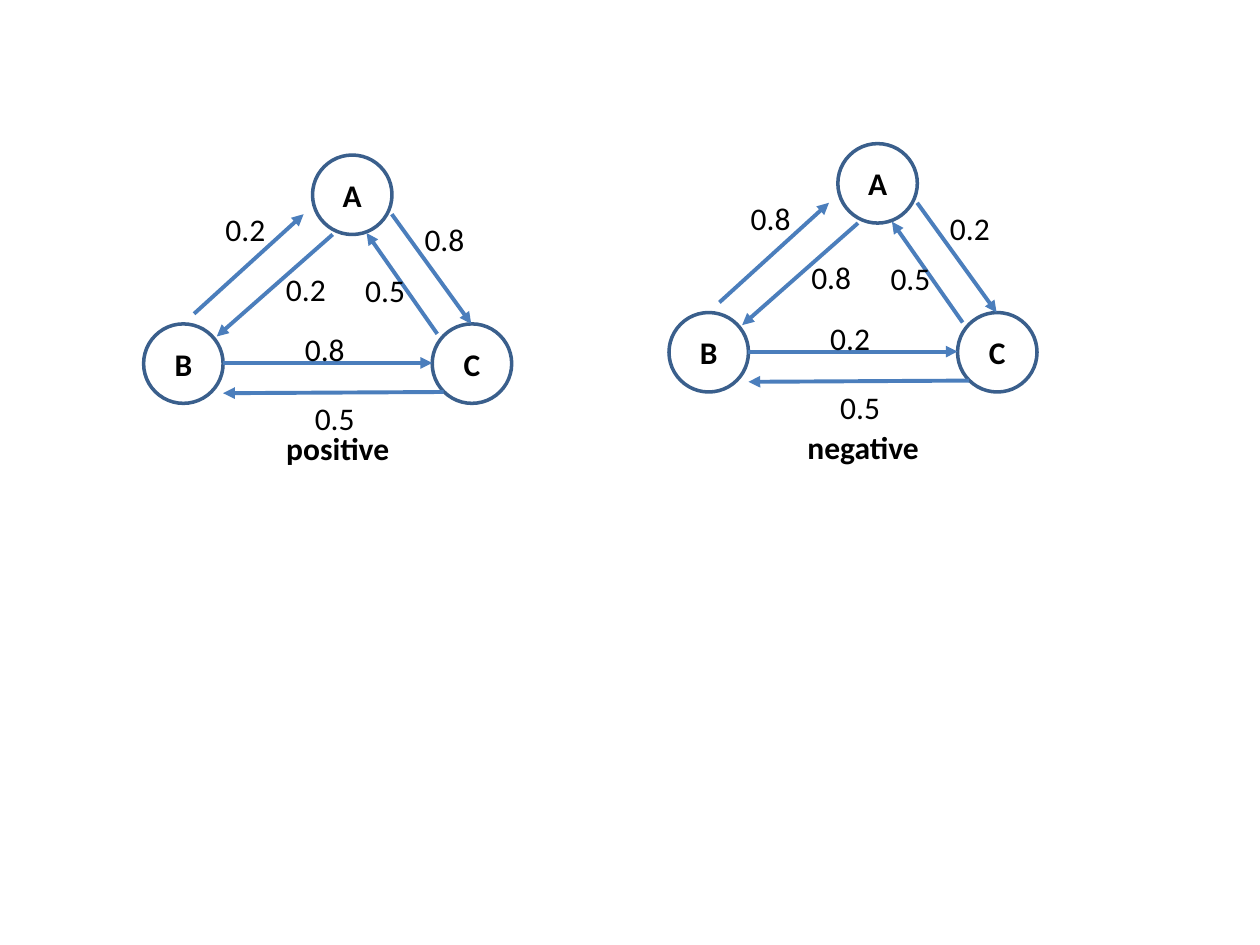
from dataclasses import dataclass

from lxml.etree import SubElement
from pptx import Presentation
from pptx.dml.color import RGBColor
from pptx.enum.shapes import MSO_CONNECTOR, MSO_SHAPE
from pptx.enum.text import MSO_ANCHOR, MSO_AUTO_SIZE, PP_ALIGN
from pptx.oxml.ns import qn
from pptx.shapes.group import GroupShape
from pptx.shapes.shapetree import SlideShapes
from pptx.text.text import TextFrame
from pptx.util import Pt


@dataclass(frozen=True)
class Theme:
    """Colours, font and sizes of the slide."""
    ink: RGBColor = RGBColor(0, 0, 0)
    ring: RGBColor = RGBColor(0x3A, 0x5F, 0x8C)
    arrow: RGBColor = RGBColor(0x4B, 0x7E, 0xBC)
    font: str = "Calibri"
    size: float = 18
    ring_width: float = 2
    arrow_width: float = 2.25


@dataclass(frozen=True)
class Node:
    """A named state, placed from the corner of its graph."""
    name: str
    x: float
    y: float


@dataclass(frozen=True)
class Edge:
    """An arrow and the corner of its weight label."""
    name: str
    start: tuple[float, float]
    end: tuple[float, float]
    label: tuple[float, float]


@dataclass(frozen=True)
class Graph:
    """One graph with its corner, caption and edge weights."""
    title: str
    x: float
    y: float
    title_x: float
    title_y: float
    weights: dict[str, str]


THEME = Theme()
NODE_SIZE = 45.4
LABEL_SIZE = (39.6, 28.8)
TITLE_SIZE = (164.2, 28.8)

NODES = [Node("A", 96.5, 0), Node("B", 0, 96.5), Node("C", 164.9, 96.5)]
EDGES = [
    Edge("AC", (141.8, 33.8), (187.2, 96.5), (153.4, 33.8)),
    Edge("CA", (167.8, 102.2), (127.4, 44.6), (119.5, 62.6)),
    Edge("AB", (108, 45.4), (41.8, 103.7), (74.2, 61.9)),
    Edge("BA", (28.8, 90.7), (91.4, 33.8), (39.6, 28.1)),
    Edge("CB", (171.4, 135.4), (45.4, 136.1), (90.7, 136.1)),
    Edge("BC", (45.4, 118.8), (164.9, 118.8), (85, 96.5)),
]
GRAPHS = [
    Graph("positive", 82.1, 88.6, 110.9, 241.9,
          {"AC": "0.8", "CA": "0.5", "AB": "0.2",
           "BA": "0.2", "CB": "0.5", "BC": "0.8"}),
    Graph("negative", 382.3, 82.1, 411.1, 241.2,
          {"AC": "0.2", "CA": "0.5", "AB": "0.8",
           "BA": "0.8", "CB": "0.5", "BC": "0.2"}),
]


def write(frame: TextFrame, text: str, *, bold: bool = False,
          align: PP_ALIGN = PP_ALIGN.LEFT,
          anchor: MSO_ANCHOR = MSO_ANCHOR.TOP) -> None:
    """Put formatted text in a frame."""
    frame.word_wrap = True
    frame.vertical_anchor = anchor
    par = frame.paragraphs[0]
    par.alignment = align
    run = par.add_run()
    run.text = text
    run.font.name = THEME.font
    run.font.size = Pt(THEME.size)
    run.font.bold = bold
    run.font.color.rgb = THEME.ink


def add_text(group: GroupShape | SlideShapes, text: str, x: float, y: float,
             size: tuple[float, float], **style) -> None:
    """Add a text box that grows with its text."""
    box = group.add_textbox(Pt(x), Pt(y), Pt(size[0]), Pt(size[1]))
    write(box.text_frame, text, **style)
    box.text_frame.auto_size = MSO_AUTO_SIZE.SHAPE_TO_FIT_TEXT


def add_node(group: GroupShape, node: Node, x: float, y: float) -> None:
    """Draw a node as an open circle with its name."""
    ring = group.shapes.add_shape(
        MSO_SHAPE.OVAL, Pt(x + node.x), Pt(y + node.y),
        Pt(NODE_SIZE), Pt(NODE_SIZE))
    ring.shadow.inherit = False
    ring.fill.background()
    ring.line.color.rgb = THEME.ring
    ring.line.width = Pt(THEME.ring_width)
    write(ring.text_frame, node.name, bold=True,
          align=PP_ALIGN.CENTER, anchor=MSO_ANCHOR.MIDDLE)


def add_arrow(group: GroupShape, edge: Edge, x: float, y: float) -> None:
    """Draw an edge with an arrowhead at its end."""
    (x1, y1), (x2, y2) = edge.start, edge.end
    arrow = group.shapes.add_connector(
        MSO_CONNECTOR.STRAIGHT, Pt(x + x1), Pt(y + y1), Pt(x + x2), Pt(y + y2))
    arrow.line.color.rgb = THEME.arrow
    arrow.line.width = Pt(THEME.arrow_width)
    props = arrow.line._get_or_add_ln()
    SubElement(props, qn("a:tailEnd"), type="triangle")
    SubElement(props.getparent(), qn("a:effectLst"))


def add_graph(shapes: SlideShapes, graph: Graph) -> None:
    """Draw the nodes, arrows and weights as one group."""
    group = shapes.add_group_shape()
    for node in NODES:
        add_node(group, node, graph.x, graph.y)
    for edge in EDGES:
        add_arrow(group, edge, graph.x, graph.y)
    for edge in EDGES:
        add_text(group.shapes, graph.weights[edge.name],
                 graph.x + edge.label[0], graph.y + edge.label[1], LABEL_SIZE)


def main() -> None:
    """Build the slide and save it."""
    deck = Presentation()
    deck.slide_width, deck.slide_height = Pt(720), Pt(540)
    slide = deck.slides.add_slide(deck.slide_layouts[6])
    for graph in GRAPHS:
        add_graph(slide.shapes, graph)
    for graph in GRAPHS:
        add_text(slide.shapes, graph.title, graph.title_x, graph.title_y,
                 TITLE_SIZE, bold=True, align=PP_ALIGN.CENTER)
    deck.save("out.pptx")


main()
